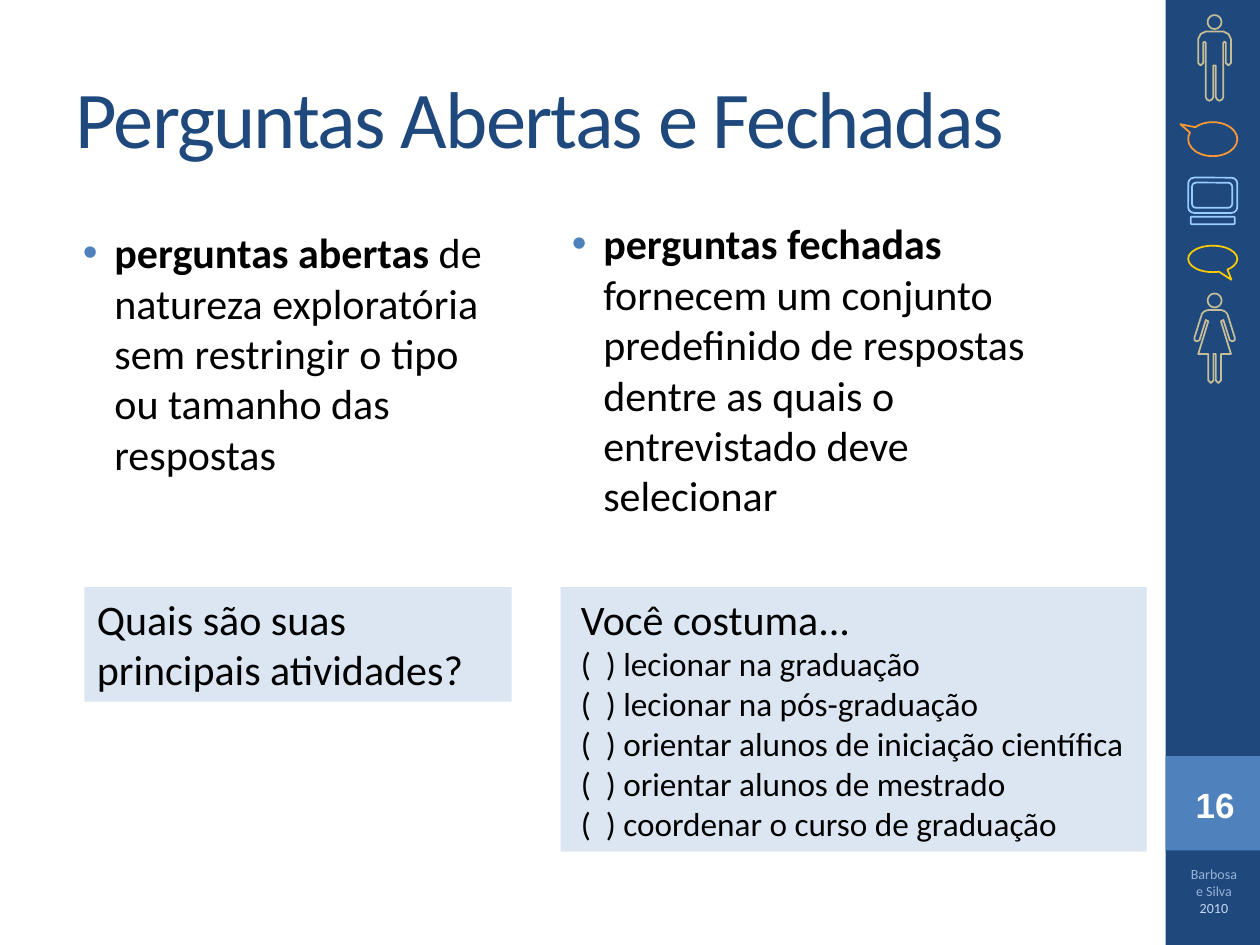
from dataclasses import dataclass
from math import cos, pi, sin

from lxml.etree import SubElement
from pptx import Presentation
from pptx.dml.color import RGBColor
from pptx.enum.shapes import MSO_SHAPE
from pptx.enum.text import MSO_ANCHOR, MSO_AUTO_SIZE, PP_ALIGN
from pptx.oxml.ns import qn
from pptx.util import Inches, Pt


@dataclass(frozen=True)
class Theme:
    font: str = "Calibri"
    number_font: str = "Arial"
    navy: str = "1F497D"
    blue: str = "4F81BD"
    pale: str = "DCE6F2"
    text: str = "000000"
    white: str = "FFFFFF"
    person: str = "C4BD97"
    orange: str = "FF9933"
    sky: str = "99CCFF"
    yellow: str = "FFCC00"
    credit: str = "95B3D7"
    year: str = "C6D9F1"
    title_size: int = 46
    body_size: int = 24
    option_size: int = 19
    number_size: int = 20
    credit_size: int = 8


THEME = Theme()
WIDTH, HEIGHT = 10, 7.5
SIDEBAR = 0.75
SIDEBAR_LEFT = WIDTH - SIDEBAR
ICON_CENTER = 9.64
HEAD_RADIUS = 0.055

TITLE = "Perguntas Abertas e Fechadas"
DEFINITIONS = [
    ((0.43, 1.75, 3.56, 5.25), "perguntas abertas",
     " de natureza exploratória sem restringir o tipo ou tamanho das respostas"),
    ((4.31, 1.68, 4.08, 5.02), "perguntas fechadas",
     " fornecem um conjunto predeﬁnido de respostas dentre as quais o entrevistado deve selecionar"),
]
EXAMPLES = [
    ((0.67, 4.66, 3.39, 0.91), 0.1, "Quais são suas principais atividades?", []),
    ((4.45, 4.66, 4.65, 2.1), 0.16, "Você costuma...", [
        "lecionar na graduação",
        "lecionar na pós-graduação",
        "orientar alunos de iniciação científica",
        "orientar alunos de mestrado",
        "coordenar o curso de graduação",
    ]),
]
ICONS = [
    (MSO_SHAPE.OVAL_CALLOUT, (9.43, 0.97, 0.39, 0.27), THEME.orange, (-0.66, -0.44)),
    (MSO_SHAPE.ROUNDED_RECTANGLE, (9.43, 1.41, 0.39, 0.28), THEME.sky, ()),
    (MSO_SHAPE.ROUNDED_RECTANGLE, (9.46, 1.45, 0.32, 0.2), THEME.sky, ()),
    (MSO_SHAPE.ROUNDED_RECTANGLE, (9.45, 1.72, 0.35, 0.06), THEME.sky, ()),
    (MSO_SHAPE.OVAL_CALLOUT, (9.43, 1.95, 0.39, 0.21), THEME.yellow, (0.38, 0.79)),
]
MAN = (0.12, [(0.07, 0.13), (0.11, 0.15), (0.13, 0.19), (0.13, 0.38), (0.11, 0.4),
              (0.09, 0.38), (0.09, 0.22), (0.08, 0.21), (0.07, 0.22), (0.07, 0.65),
              (0.06, 0.67), (0.04, 0.68), (0.02, 0.67), (0.01, 0.65), (0.01, 0.4)])
WOMAN = (2.33, [(0.05, 0.13), (0.08, 0.14), (0.1, 0.16), (0.11, 0.19), (0.16, 0.35),
                (0.16, 0.37), (0.14, 0.38), (0.12, 0.37), (0.07, 0.21), (0.05, 0.22),
                (0.13, 0.48), (0.05, 0.48), (0.05, 0.69), (0.03, 0.71), (0.01, 0.69),
                (0.01, 0.48)])


def color(value):
    return RGBColor.from_string(value)


def style(font, size, value, name=THEME.font, bold=False):
    font.size, font.name, font.bold = Pt(size), name, bold
    font.color.rgb = color(value)


def add_box(slide, kind, place, fill=None, line=None):
    shape = slide.shapes.add_shape(kind, *map(Inches, place))
    paint(shape, fill, line)
    return shape


def paint(shape, fill=None, line=None):
    shape.shadow.inherit = False
    if fill:
        shape.fill.solid()
        shape.fill.fore_color.rgb = color(fill)
    else:
        shape.fill.background()
    if line:
        shape.line.color.rgb = color(line)
        shape.line.width = Pt(1)
    else:
        shape.line.fill.background()


def add_text(slide, place, alignment=PP_ALIGN.LEFT):
    frame = slide.shapes.add_textbox(*map(Inches, place)).text_frame
    frame.word_wrap = True
    paragraph = frame.paragraphs[0]
    paragraph.alignment = alignment
    return paragraph


def add_person(slide, top, half):
    right = [(ICON_CENTER + x, top + y) for x, y in half]
    left = [(ICON_CENTER - x, top + y) for x, y in reversed(half)]
    head = [(ICON_CENTER + HEAD_RADIUS * cos(step * pi / 12),
             top + HEAD_RADIUS * (1 + sin(step * pi / 12))) for step in range(24)]
    body, head = ([(Inches(x), Inches(y)) for x, y in outline]
                  for outline in (right + left, head))
    builder = slide.shapes.build_freeform(*body[0], scale=1.0)
    builder.add_line_segments(body[1:], close=True)
    builder.move_to(*head[0])
    builder.add_line_segments(head[1:], close=True)
    paint(builder.convert_to_shape(), line=THEME.person)


def add_sidebar(slide):
    add_box(slide, MSO_SHAPE.RECTANGLE, (SIDEBAR_LEFT, 0, SIDEBAR, HEIGHT), THEME.navy)
    add_box(slide, MSO_SHAPE.RECTANGLE,
            (SIDEBAR_LEFT, HEIGHT - 2 * SIDEBAR, SIDEBAR, SIDEBAR), THEME.blue)
    for person in (WOMAN, MAN):
        add_person(slide, *person)
    for kind, place, line, adjustments in ICONS:
        icon = add_box(slide, kind, place, line=line)
        for index, value in enumerate(adjustments):
            icon.adjustments[index] = value
    number = add_text(slide, (9.31, 6.17, 0.67, 0.43), PP_ALIGN.CENTER)
    number.text = "16"
    style(number.font, THEME.number_size, THEME.white, THEME.number_font, True)
    credit = add_text(slide, (9.33, 6.82, 0.61, 0.55), PP_ALIGN.CENTER)
    for text, value in (("Barbosa e Silva ", THEME.credit), ("2010", THEME.year)):
        run = credit.add_run()
        run.text = text
        style(run.font, THEME.credit_size, value)


def add_title(slide):
    title = slide.shapes.title
    title.left, title.top, title.width, title.height = map(Inches, (0.5, 0.3, 8.33, 1.25))
    frame = title.text_frame
    frame.text = TITLE
    frame.auto_size = MSO_AUTO_SIZE.NONE
    frame.vertical_anchor = MSO_ANCHOR.MIDDLE
    paragraph = frame.paragraphs[0]
    paragraph.alignment = PP_ALIGN.LEFT
    style(paragraph.font, THEME.title_size, THEME.navy)
    paragraph.runs[0].font._element.set("spc", "-100")


def add_definition(slide, place, term, meaning):
    paragraph = add_text(slide, place)
    properties = paragraph._p.get_or_add_pPr()
    properties.set("marL", str(Inches(0.38)))
    properties.set("indent", str(Inches(-0.25)))
    bullet_color = SubElement(properties, qn("a:buClr"))
    SubElement(bullet_color, qn("a:srgbClr"), val=THEME.blue)
    SubElement(properties, qn("a:buFont"), typeface="Arial")
    SubElement(properties, qn("a:buChar"), char="•")
    for text, bold in ((term, True), (meaning, False)):
        run = paragraph.add_run()
        run.text = text
        style(run.font, THEME.body_size, THEME.text, bold=bold)


def add_example(slide, place, inset, question, options):
    frame = add_box(slide, MSO_SHAPE.RECTANGLE, place, THEME.pale).text_frame
    frame.word_wrap = True
    frame.auto_size = MSO_AUTO_SIZE.SHAPE_TO_FIT_TEXT
    frame.vertical_anchor = MSO_ANCHOR.TOP
    frame.margin_left = frame.margin_right = Inches(inset)
    frame.text = "\n".join([question] + [f"(  ) {option}" for option in options])
    for index, paragraph in enumerate(frame.paragraphs):
        paragraph.alignment = PP_ALIGN.LEFT
        style(paragraph.font, THEME.option_size if index else THEME.body_size, THEME.text)


def main():
    presentation = Presentation()
    presentation.slide_width, presentation.slide_height = Inches(WIDTH), Inches(HEIGHT)
    slide = presentation.slides.add_slide(presentation.slide_layouts[5])
    add_sidebar(slide)
    add_title(slide)
    for definition in DEFINITIONS:
        add_definition(slide, *definition)
    for example in EXAMPLES:
        add_example(slide, *example)
    presentation.save("out.pptx")


if __name__ == "__main__":
    main()
